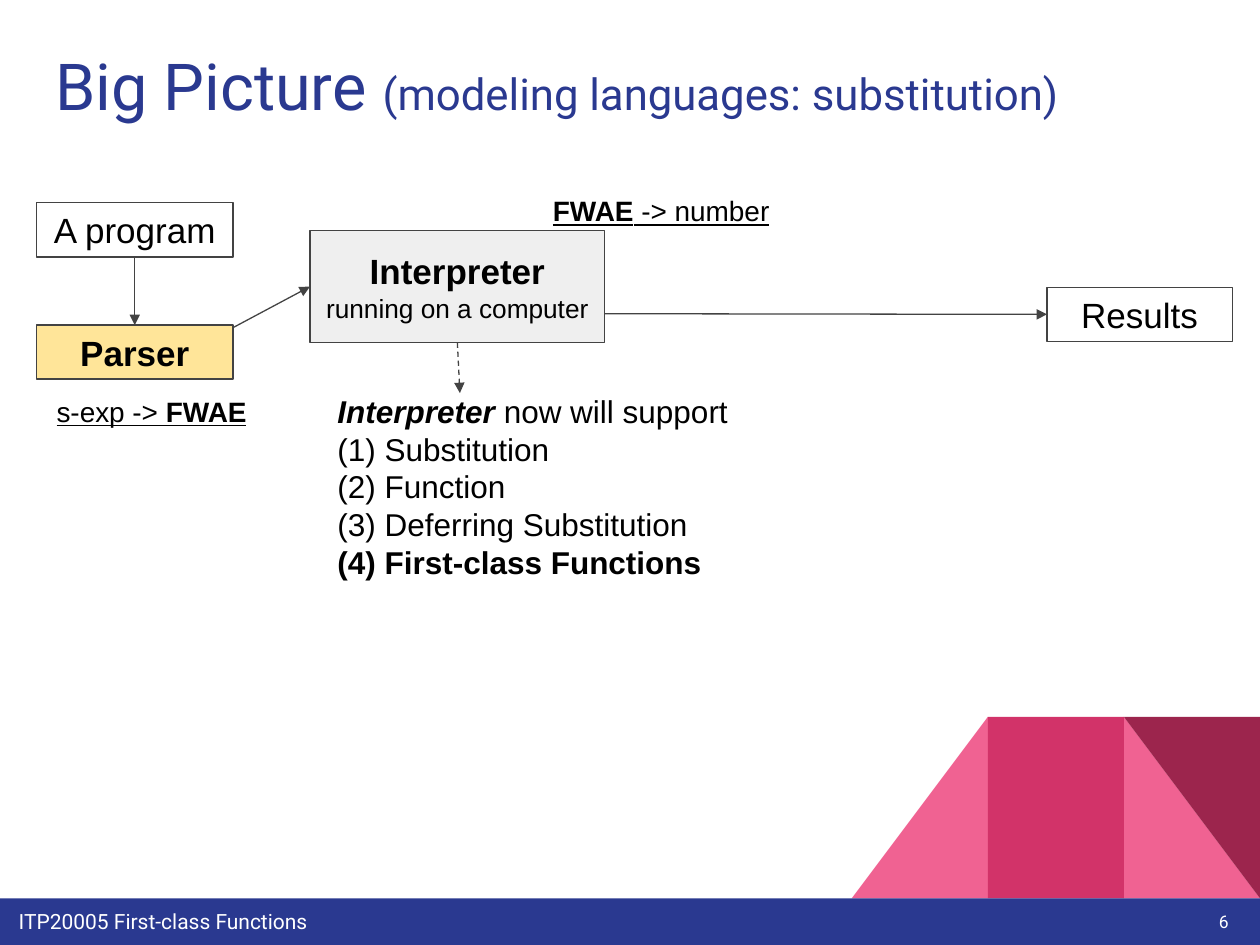
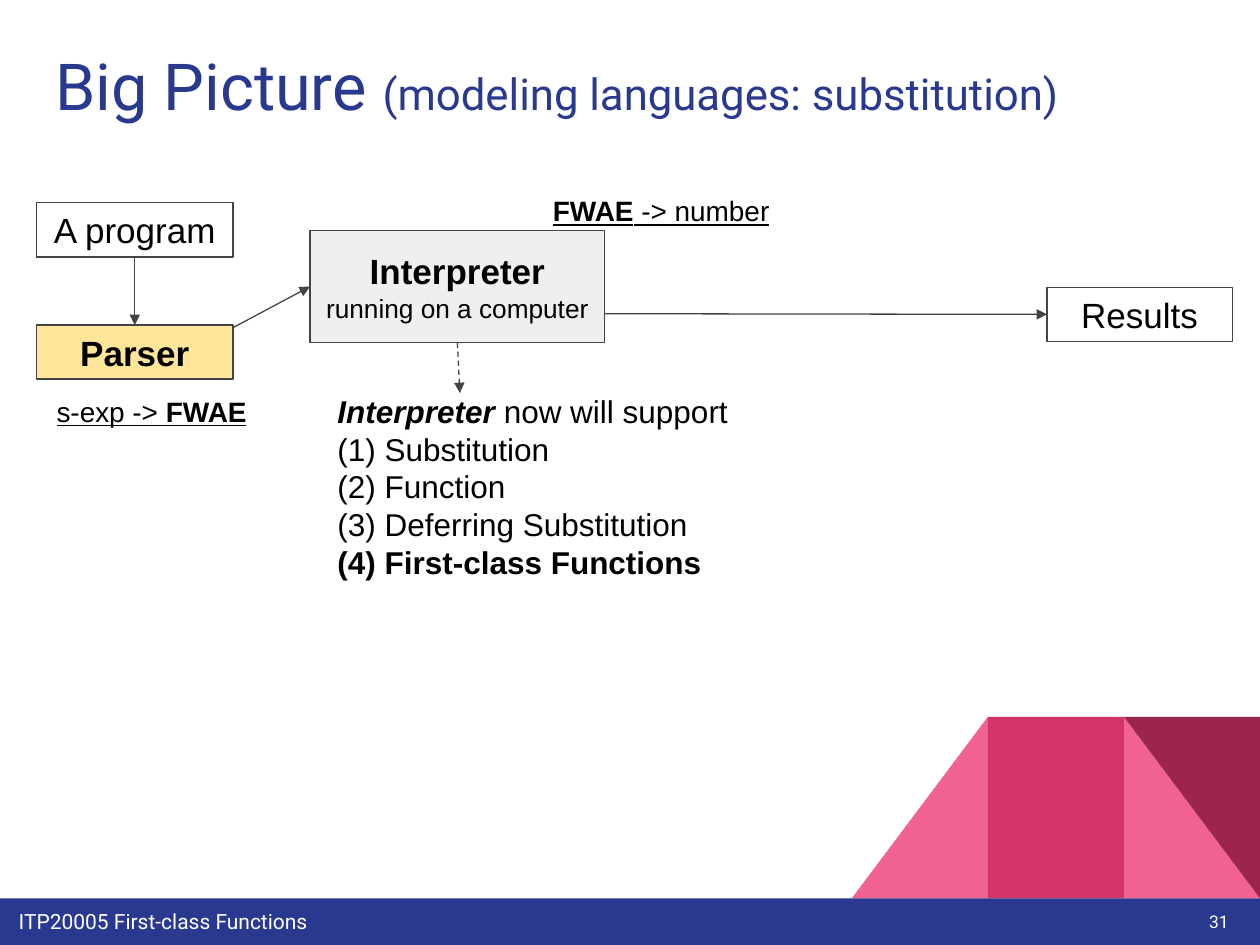
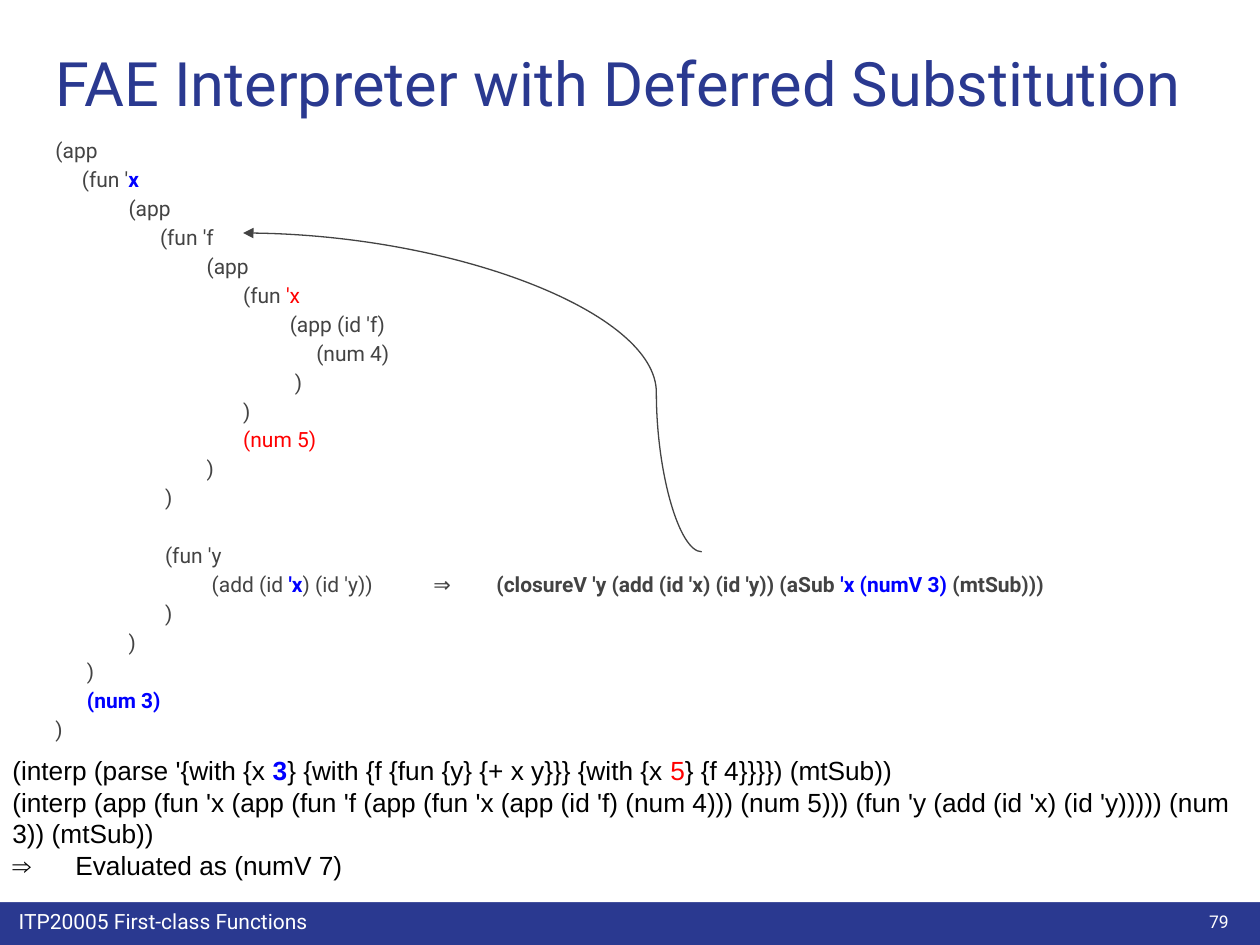
from lxml.etree import SubElement
from pptx import Presentation
from pptx.dml.color import RGBColor
from pptx.enum.dml import MSO_LINE
from pptx.enum.shapes import MSO_CONNECTOR, MSO_SHAPE
from pptx.enum.text import MSO_ANCHOR, MSO_AUTO_SIZE, PP_ALIGN
from pptx.oxml.ns import qn
from pptx.util import Inches, Pt

NAVY, WHITE, BLACK, GRAY = "2A3990", "FFFFFF", "000000", "434343"
PINK, ROSE, WINE = "F06292", "D23369", "9C254D"
SILVER, YELLOW, BLUE, RED = "EFEFEF", "FFE599", "0000FF", "FF0000"
TITLE_ONLY, TITLE_AND_BODY = 5, 1

BOLD = {"bold": True}
BLUE_BOLD = {"bold": True, "color": BLUE}

CODE = [
    (0, ["(app"]),
    (0.21, ["(fun '", ("x", BLUE_BOLD)]),
    (0.58, ["(app"]),
    (0.83, ["(fun 'f"]),
    (1.2, ["(app"]),
    (1.49, ["(fun ", ("'x", {"color": RED})]),
    (1.86, ["(app (id 'f)"]),
    (2.07, ["(num 4)"]),
    (1.9, [")"]),
    (1.49, [")"]),
    (1.49, [("(num 5)", {"color": RED})]),
    (1.2, [")"]),
    (0.87, [")"]),
    (0.87, ["(fun 'y"]),
    (1.24, ["(add (id ", ("'x", BLUE_BOLD), ") (id 'y))\t⇒\t",
            ("(closureV 'y (add (id 'x) (id 'y)) (aSub ", BOLD),
            ("'x (numV 3)", BLUE_BOLD), (" (mtSub)))", BOLD)]),
    (0.87, [")"]),
    (0.58, [")"]),
    (0.25, [")"]),
    (0.25, [("(num 3)", BLUE_BOLD)]),
    (0, [")"]),
]
SECOND_BRANCH = 13
CLOSURE_LINE = 14

EVALUATION = [
    ["(interp (parse '{with {x ", ("3", BLUE_BOLD),
     "} {with {f {fun {y} {+ x y}}} {with {x ", ("5", {"color": RED}), "} {f 4}}}}) (mtSub))"],
    ["(interp (app (fun 'x (app (fun 'f (app (fun 'x (app (id 'f) (num 4))) (num 5))) "
     "(fun 'y (add (id 'x) (id 'y))))) (num 3)) (mtSub))"],
    ["⇒\tEvaluated as (numV 7)"],
]


def rgb(value):
    return RGBColor.from_string(value)


def place(shape, left, top, width, height):
    shape.left, shape.top = Inches(left), Inches(top)
    shape.width, shape.height = Inches(width), Inches(height)


def write(shape, paragraphs, size=18, font="Arial", color=BLACK, bold=False, italic=False,
          underline=False, align=PP_ALIGN.LEFT, anchor=MSO_ANCHOR.TOP, spacing=None):
    frame = shape.text_frame
    frame.word_wrap = True
    frame.auto_size = MSO_AUTO_SIZE.NONE
    frame.vertical_anchor = anchor
    frame.margin_left = frame.margin_right = Inches(0.1)
    frame.margin_top = frame.margin_bottom = Inches(0.1)
    base = {"size": size, "color": color, "bold": bold, "italic": italic, "underline": underline}
    for index, pieces in enumerate(paragraphs):
        paragraph = frame.paragraphs[0] if index == 0 else frame.add_paragraph()
        paragraph.alignment = align
        paragraph.space_before = Pt(0)
        if spacing:
            paragraph.line_spacing = spacing
        for piece in pieces:
            words, changes = (piece, {}) if isinstance(piece, str) else piece
            style = {**base, **changes}
            run = paragraph.add_run()
            run.text = words
            run.font.name = font
            run.font.size = Pt(style["size"])
            run.font.color.rgb = rgb(style["color"])
            run.font.bold = style["bold"]
            run.font.italic = style["italic"]
            run.font.underline = style["underline"]


def indent_first_line(paragraph, indent, tabs=()):
    properties = paragraph._p.get_or_add_pPr()
    properties.set("marL", "0")
    properties.set("indent", str(Inches(indent)))
    SubElement(properties, qn("a:buNone"))
    if tabs:
        stops = SubElement(properties, qn("a:tabLst"))
        for position in tabs:
            SubElement(stops, qn("a:tab"), pos=str(Inches(position)), algn="l")


def add_label(slide, at, paragraphs, **style):
    label = slide.shapes.add_textbox(*map(Inches, at))
    write(label, paragraphs, **style)
    return label


def add_block(slide, at, fill=None, outline=None, kind=MSO_SHAPE.RECTANGLE):
    block = slide.shapes.add_shape(kind, *map(Inches, at))
    block.shadow.inherit = False
    if fill:
        block.fill.solid()
        block.fill.fore_color.rgb = rgb(fill)
    else:
        block.fill.background()
    if outline:
        block.line.color.rgb = rgb(outline)
        block.line.width = Pt(0.75)
    else:
        block.line.fill.background()
    return block


def add_stage(slide, at, pieces, fill=None, bold=False):
    stage = add_block(slide, at, fill, GRAY)
    write(stage, [pieces], size=20, bold=bold, align=PP_ALIGN.CENTER, anchor=MSO_ANCHOR.MIDDLE)
    return stage


def add_arrow(slide, start, end, kind=MSO_CONNECTOR.STRAIGHT, dashed=False):
    arrow = slide.shapes.add_connector(kind, *map(Inches, (*start, *end)))
    arrow.line.color.rgb = rgb(GRAY)
    arrow.line.width = Pt(0.75)
    if dashed:
        arrow.line.dash_style = MSO_LINE.DASH
    properties = arrow._element.spPr
    SubElement(properties.find(qn("a:ln")), qn("a:tailEnd"), type="triangle")
    SubElement(properties, qn("a:effectLst"))
    return arrow


def add_decoration(slide):
    left, middle, right = [(6.76 + 1.08 * step, 5.69, 1.08, 1.44) for step in range(3)]
    add_block(slide, right, PINK, kind=MSO_SHAPE.RIGHT_TRIANGLE)
    slope = add_block(slide, left, PINK, kind=MSO_SHAPE.RIGHT_TRIANGLE)
    slope._element.spPr.find(qn("a:xfrm")).set("flipH", "1")
    add_block(slide, middle, ROSE)
    corner = add_block(slide, right, WINE, kind=MSO_SHAPE.RIGHT_TRIANGLE)
    corner.rotation = 180


def add_footer(slide, number):
    add_block(slide, (0, 7.13, 10, 0.37), NAVY)
    add_label(slide, (0.05, 7.11, 7.35, 0.36), [["ITP20005 First-class Functions"]],
              size=12, font="Roboto", color=WHITE)
    add_label(slide, (9.25, 7.03, 0.6, 0.57), [[str(number)]], size=10, font="Roboto",
              color=WHITE, align=PP_ALIGN.RIGHT, anchor=MSO_ANCHOR.MIDDLE)


def start_slide(deck, layout, number, title, size):
    slide = deck.slides.add_slide(deck.slide_layouts[layout])
    add_decoration(slide)
    add_footer(slide, number)
    for placeholder in list(slide.placeholders):
        slide.shapes._spTree.append(placeholder._element)
    heading = slide.shapes.title
    place(heading, 0.34, 0.26, 9.32, 0.89)
    write(heading, [title], size=size, font="Roboto", color=NAVY)
    return slide


def add_big_picture(deck, number):
    title = ["Big Picture ", ("(modeling languages: substitution)", {"size": 25})]
    slide = start_slide(deck, TITLE_ONLY, number, title, 37)

    interpreter = add_stage(slide, (2.46, 1.83, 2.34, 0.89),
                            [("Interpreter ", BOLD), ("running on a computer", {"size": 15})],
                            SILVER)
    program = add_stage(slide, (0.29, 1.61, 1.56, 0.43), ["A program"])
    results = add_stage(slide, (8.31, 2.28, 1.47, 0.43), ["Results"])
    parser = add_stage(slide, (0.29, 2.58, 1.56, 0.43), ["Parser"], YELLOW, bold=True)

    reading = add_arrow(slide, (1.07, 2.04), (1.07, 2.58))
    reading.begin_connect(program, 2)
    reading.end_connect(parser, 0)
    parsed = add_arrow(slide, (1.85, 2.6), (2.46, 2.27))
    parsed.end_connect(interpreter, 1)
    evaluated = add_arrow(slide, (4.8, 2.49), (8.31, 2.5))
    evaluated.end_connect(results, 1)
    support = add_arrow(slide, (3.63, 2.72), (3.65, 3.12), dashed=True)
    support.begin_connect(interpreter, 2)

    add_label(slide, (0.35, 3.03, 2.11, 0.4), [["s-exp -> ", ("FWAE", BOLD)]],
              size=16, underline=True)
    add_label(slide, (4.29, 1.44, 2.29, 0.33), [[("FWAE", BOLD), " -> number"]],
              size=16, underline=True)
    add_label(slide, (2.58, 3.01, 4.45, 3.16), [
        [("Interpreter ", {"bold": True, "italic": True}), "now will support"],
        ["(1) Substitution"],
        ["(2) Function"],
        ["(3) Deferring Substitution"],
        [("(4) First-class Functions", BOLD)],
    ])


def add_deferred_substitution(deck, number):
    slide = start_slide(deck, TITLE_AND_BODY, number,
                        ["FAE Interpreter with Deferred Substitution"], 35)

    code = slide.placeholders[1]
    place(code, 0.34, 0.96, 9.66, 5.44)
    code.fill.solid()
    code.fill.fore_color.rgb = rgb(WHITE)
    write(code, [pieces for _, pieces in CODE], size=12, font="Roboto", color=GRAY, spacing=1.15)
    lines = code.text_frame.paragraphs
    lines[SECOND_BRANCH].space_before = Pt(16.5)
    for index, (line, (indent, _)) in enumerate(zip(lines, CODE)):
        indent_first_line(line, indent, (2.73, 2.95) if index == CLOSURE_LINE else ())

    evaluation = add_block(slide, (0, 5.89, 10, 1.27), WHITE)
    write(evaluation, EVALUATION, size=15)
    indent_first_line(evaluation.text_frame.paragraphs[-1], 0, (0.27,))

    binding = add_arrow(slide, (5.57, 4.38), (1.93, 1.85), MSO_CONNECTOR.CURVE)
    geometry = binding._element.spPr.find(qn("a:prstGeom"))
    SubElement(geometry.find(qn("a:avLst")), qn("a:gd"), name="adj1", fmla="val 9900")


def main():
    deck = Presentation()
    deck.slide_width, deck.slide_height = Inches(10), Inches(7.5)
    for number in (6, 31):
        add_big_picture(deck, number)
    add_deferred_substitution(deck, 79)
    deck.save("out.pptx")


if __name__ == "__main__":
    main()
